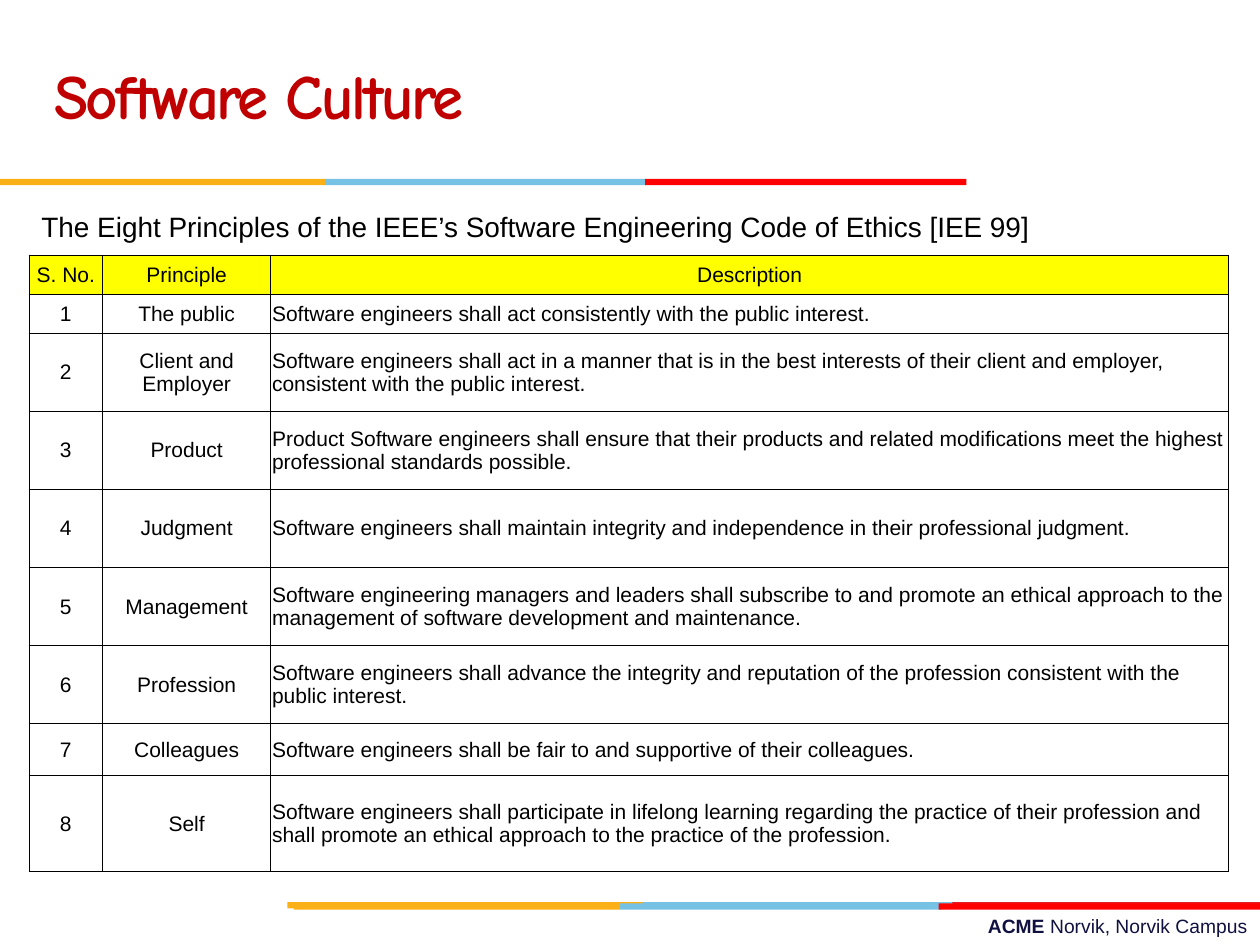
from dataclasses import dataclass
from typing import Any

from lxml import etree
from pptx import Presentation
from pptx import util as u
from pptx.dml.color import RGBColor
from pptx.enum import shapes, text
from pptx.oxml import ns

Pt = u.Pt
COLOURS = {
    "amber": "FCB017",
    "sky": "76C2E5",
    "crimson": "E31C24",
    "red": "FF0000",
    "title": "C00000",
    "navy": "101141",
    "black": "000000",
    "header": "FFFF00",
}
BAR_HEIGHT = 3.6
CELL_INSET = 0.72
COLUMN_WIDTHS = (42, 96.2, 547.2)
ROW_HEIGHTS = (22.3, 22.3, *[44.6] * 5, 29.7, 54.9)
HEADINGS = ("S. No.", "Principle", "Description")
PRINCIPLES = (
    ("The public", "Software engineers shall act consistently with the public interest."),
    ("Client and Employer", "Software engineers shall act in a manner that is in the best interests "
     "of their client and employer, consistent with the public interest."),
    ("Product", "Product Software engineers shall ensure that their products and related "
     "modifications meet the highest professional standards possible."),
    ("Judgment", "Software engineers shall maintain integrity and independence in their "
     "professional judgment."),
    ("Management", "Software engineering managers and leaders shall subscribe to and promote an "
     "ethical approach to the management of software development and maintenance."),
    ("Profession", "Software engineers shall advance the integrity and reputation of the "
     "profession consistent with the public interest."),
    ("Colleagues", "Software engineers shall be fair to and supportive of their colleagues."),
    ("Self", "Software engineers shall participate in lifelong learning regarding the practice of "
     "their profession and shall promote an ethical approach to the practice of the profession."),
)


@dataclass(frozen=True)
class Bar:
    left: float
    top: float
    width: float
    colour: str


@dataclass(frozen=True)
class Style:
    size: float
    colour: str
    name: str = "Arial"


BARS = (
    Bar(364.3, 515.5, 183.6, "sky"),
    Bar(544.3, 515.5, 175.7, "crimson"),
    Bar(164.2, 515.5, 203, "amber"),
    Bar(354.2, 516.2, 183.6, "sky"),
    Bar(167.8, 516.2, 186.4, "amber"),
    Bar(536.4, 516.2, 183.6, "red"),
    Bar(185.8, 102.2, 183.6, "sky"),
    Bar(0, 102.2, 185.8, "amber"),
    Bar(368.6, 102.2, 183.6, "red"),
)
TITLE = Style(36, "title", "Comic Neue")
SUBTITLE = Style(16, "black")
CELL = Style(12, "black")
FOOTER = Style(11, "navy")


def apply_format(target: Any, values: dict[str, Any]) -> None:
    for key, value in values.items():
        setattr(target, key, value)


def rgb(colour: str) -> RGBColor:
    return RGBColor.from_string(COLOURS[colour])


def add_run(paragraph: Any, wording: str, style: Style, bold: bool = False) -> Any:
    run = paragraph.add_run()
    run.text = wording
    apply_format(run.font, {"size": Pt(style.size), "name": style.name, "bold": bold})
    run.font.color.rgb = rgb(style.colour)
    return run


def add_bar(slide: Any, bar: Bar) -> None:
    strip = slide.shapes.add_shape(shapes.MSO_SHAPE.RECTANGLE, Pt(bar.left), Pt(bar.top),
                                   Pt(bar.width), Pt(BAR_HEIGHT))
    strip.shadow.inherit = False
    strip.fill.solid()
    strip.fill.fore_color.rgb = rgb(bar.colour)
    strip.line.fill.background()


def add_text_area(slide: Any, left: float, top: float, width: float, height: float,
                  frame_format: dict[str, Any], paragraph_format: dict[str, Any]) -> Any:
    """Add a wrapping text box and return its first paragraph."""
    frame = slide.shapes.add_textbox(Pt(left), Pt(top), Pt(width), Pt(height)).text_frame
    apply_format(frame, {"word_wrap": True, **frame_format})
    apply_format(frame.paragraphs[0], paragraph_format)
    return frame.paragraphs[0]


def add_cell_borders(cell: Any) -> None:
    properties = cell._tc.get_or_add_tcPr()
    for position, side in enumerate(("lnL", "lnR", "lnT", "lnB")):
        border = etree.Element(ns.qn(f"a:{side}"), w=str(Pt(0.5)))
        fill = etree.SubElement(border, ns.qn("a:solidFill"))
        etree.SubElement(fill, ns.qn("a:srgbClr"), val=COLOURS["black"])
        properties.insert(position, border)


def fill_cell(cell: Any, wording: str, is_header: bool, is_description: bool,
              space_before: float) -> None:
    apply_format(cell, {
        "vertical_anchor": text.MSO_ANCHOR.MIDDLE,
        "margin_left": Pt(CELL_INSET),
        "margin_right": Pt(CELL_INSET),
        "margin_top": Pt(CELL_INSET),
        "margin_bottom": Pt(0),
    })
    if is_header:
        cell.fill.solid()
        cell.fill.fore_color.rgb = rgb("header")
    else:
        cell.fill.background()
    centred = is_header or not is_description
    paragraph = cell.text_frame.paragraphs[0]
    apply_format(paragraph, {
        "alignment": text.PP_ALIGN.CENTER if centred else text.PP_ALIGN.LEFT,
        "space_before": Pt(space_before),
    })
    add_run(paragraph, wording, CELL)
    add_cell_borders(cell)


def add_principles_table(slide: Any) -> None:
    rows = [HEADINGS] + [(str(number), *principle)
                         for number, principle in enumerate(PRINCIPLES, 1)]
    table = slide.shapes.add_table(len(rows), len(HEADINGS), Pt(16.6), Pt(145.7),
                                   Pt(sum(COLUMN_WIDTHS)), Pt(sum(ROW_HEIGHTS))).table
    apply_format(table, {"first_row": False, "horz_banding": False})
    for column, width in zip(table.columns, COLUMN_WIDTHS):
        column.width = Pt(width)
    for row, height in zip(table.rows, ROW_HEIGHTS):
        row.height = Pt(height)
    for row_index, row in enumerate(rows):
        for column_index, wording in enumerate(row):
            fill_cell(table.cell(row_index, column_index), wording, row_index == 0,
                      column_index == 2, 6 if row_index and column_index else 0)


def main() -> None:
    deck = Presentation()
    apply_format(deck, {"slide_width": Pt(720), "slide_height": Pt(540)})
    slide = deck.slides.add_slide(deck.slide_layouts[6])

    footer = add_text_area(slide, 257.8, 519.1, 462.2, 20.9, {},
                           {"alignment": text.PP_ALIGN.RIGHT})
    add_run(footer, "ACME ", FOOTER, bold=True)
    add_run(footer, "Norvik, Norvik Campus", FOOTER)

    for bar in BARS:
        add_bar(slide, bar)

    title = add_text_area(slide, 23.8, 12.2, 498.2, 90,
                          {"vertical_anchor": text.MSO_ANCHOR.MIDDLE},
                          {"line_spacing": Pt(36)})
    title_run = add_run(title, "Software Culture", TITLE, bold=True)
    title_run._r.get_or_add_rPr().set("spc", "-150")

    subtitle = add_text_area(slide, 16.6, 115.9, 609.1, 30.2, {},
                             {"alignment": text.PP_ALIGN.JUSTIFY})
    add_run(subtitle, "The Eight Principles of the IEEE’s Software Engineering Code of Ethics "
            "[IEE 99]", SUBTITLE)

    add_principles_table(slide)
    deck.save("out.pptx")


if __name__ == "__main__":
    main()
